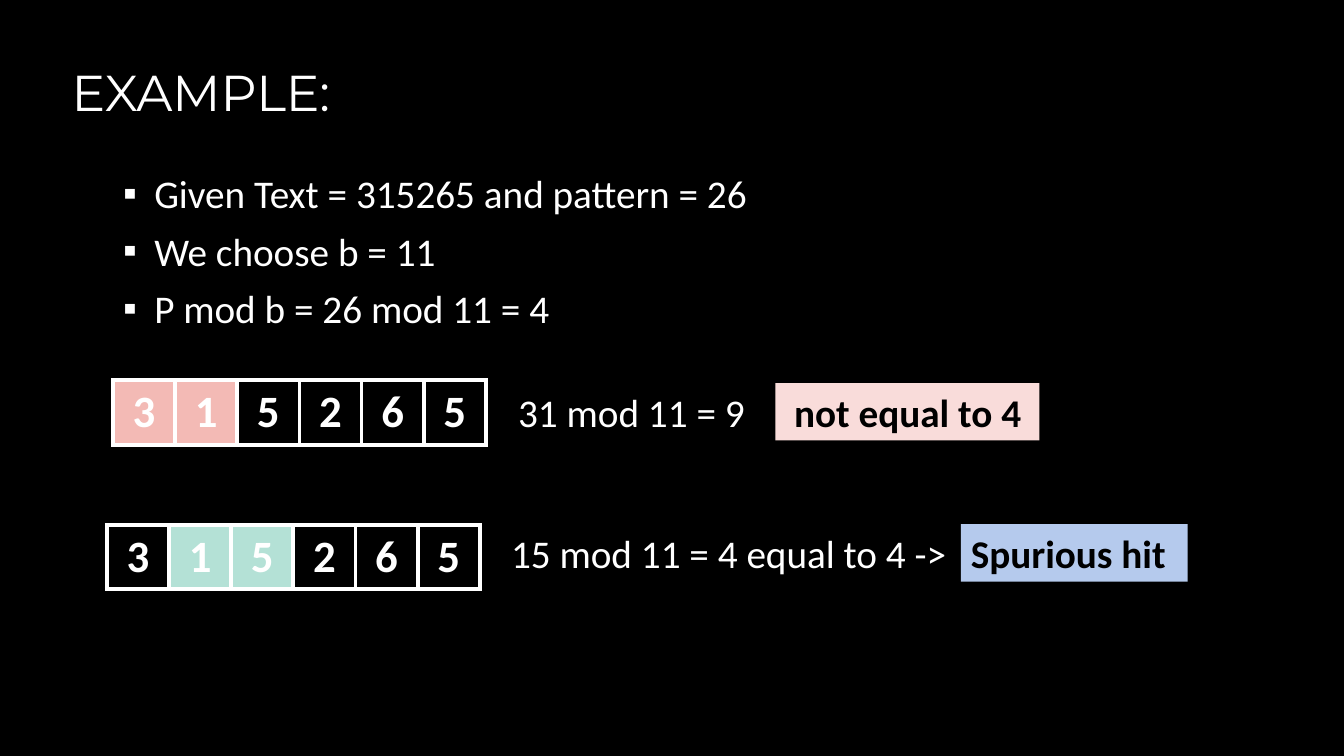
from lxml.etree import SubElement
from pptx import Presentation
from pptx.dml.color import RGBColor
from pptx.enum.shapes import MSO_SHAPE as Shape
from pptx.enum.text import MSO_ANCHOR as Anchor, MSO_AUTO_SIZE as AutoSize, PP_ALIGN as Align
from pptx.oxml.ns import qn
from pptx.util import Inches, Pt

WHITE, BLACK = "FFFFFF", "000000"
PINK, PALE_PINK = "F3BAB5", "F9DCDA"
MINT, PALE_BLUE = "B4E1D6", "B5CAED"
DIGITS = "315265"
CELL_WIDTH = 3.7 / len(DIGITS)
TABLE_HEIGHT, ROW_HEIGHT = 0.63, 0.41
LINE_HEIGHT = 0.57
FACTS = ["Given Text = 315265 and pattern = 26", "We choose b = 11", "P mod b = 26 mod 11 = 4"]


def color(value):
    return RGBColor.from_string(value)


def place(shape, left, top, width, height):
    shape.left, shape.top = Inches(left), Inches(top)
    shape.width, shape.height = Inches(width), Inches(height)


def add_text(paragraph, text, size=28, font="Calibri", ink=WHITE, bold=False):
    run = paragraph.add_run()
    run.text = text
    run.font.name, run.font.size, run.font.bold = font, Pt(size), bold
    run.font.color.rgb = color(ink)


def set_bullet(paragraph, symbol, indent):
    properties = paragraph._p.get_or_add_pPr()
    properties.set("marL", str(Inches(indent)))
    properties.set("indent", str(-Inches(indent)))
    SubElement(properties, qn("a:buFont"), typeface="Arial")
    SubElement(properties, qn("a:buChar"), char=symbol)


def set_cell_borders(cell, line_color, width):
    """Call before the cell is filled: borders come first in its properties."""
    properties = cell._tc.get_or_add_tcPr()
    for side in ("a:lnL", "a:lnR", "a:lnT", "a:lnB"):
        line = SubElement(properties, qn(side), w=str(Pt(width)))
        fill = SubElement(line, qn("a:solidFill"))
        SubElement(fill, qn("a:srgbClr"), val=line_color)


def add_title(slide, left, top, width, height):
    title = slide.shapes.title
    place(title, left, top, width, height)
    frame = title.text_frame
    frame.auto_size, frame.vertical_anchor = AutoSize.NONE, Anchor.TOP
    paragraph = frame.paragraphs[0]
    paragraph.alignment = Align.LEFT
    add_text(paragraph, "EXAMPLE:", size=36, font="Montserrat")


def add_facts(slide, left, top, width, height):
    body = slide.placeholders[1]
    place(body, left, top, width, height)
    frame = body.text_frame
    frame.auto_size = AutoSize.NONE
    for index, fact in enumerate(FACTS):
        paragraph = frame.add_paragraph() if index else frame.paragraphs[0]
        paragraph.line_spacing = 1.0
        paragraph.space_before, paragraph.space_after = Pt(0), Pt(7.5)
        set_bullet(paragraph, "▪", 0.31)
        add_text(paragraph, fact)


def add_digits(slide, left, top, digits, window=(), highlight=None):
    """Draw digits as a row of cells, filling those in the window."""
    frame = slide.shapes.add_table(1, len(digits), Inches(left), Inches(top),
                                   Inches(CELL_WIDTH * len(digits)), Inches(TABLE_HEIGHT))
    table = frame.table
    table.first_row = table.horz_banding = False
    table.rows[0].height = Inches(ROW_HEIGHT)
    for index, digit in enumerate(digits):
        table.columns[index].width = Inches(CELL_WIDTH)
        cell = table.cell(0, index)
        set_cell_borders(cell, WHITE, 3)
        if index in window:
            cell.fill.solid()
            cell.fill.fore_color.rgb = color(highlight)
        else:
            cell.fill.background()
        paragraph = cell.text_frame.paragraphs[0]
        paragraph.alignment = Align.CENTER
        add_text(paragraph, digit, size=32, bold=True)


def add_equation(slide, text, left, top, width):
    box = slide.shapes.add_textbox(Inches(left), Inches(top), Inches(width), Inches(LINE_HEIGHT))
    box.text_frame.word_wrap = True
    add_text(box.text_frame.paragraphs[0], text)


def add_verdict(slide, text, left, top, width, fill):
    label = slide.shapes.add_shape(Shape.RECTANGLE, Inches(left), Inches(top),
                                   Inches(width), Inches(LINE_HEIGHT))
    label.shadow.inherit = False
    label.fill.solid()
    label.fill.fore_color.rgb = color(fill)
    label.line.fill.background()
    label.text_frame.vertical_anchor = Anchor.TOP
    paragraph = label.text_frame.paragraphs[0]
    paragraph.alignment = Align.LEFT
    add_text(paragraph, text, ink=BLACK, bold=True)


def add_result(slide, left, top, equation, verdict):
    """Place an equation and, at its own offset, the verdict on it."""
    equation_text, equation_width = equation
    add_equation(slide, equation_text, left, top, equation_width)
    verdict_text, verdict_offset, verdict_width, fill = verdict
    add_verdict(slide, verdict_text, left + verdict_offset, top, verdict_width, fill)


def add_first_step(slide, left, top):
    add_digits(slide, left, top, DIGITS)
    add_digits(slide, left, top, DIGITS[:2], (0, 1), PINK)
    add_result(slide, left + 3.92, top + 0.03, ("31 mod 11 = 9", 2.54),
               (" not equal to 4", 2.65, 2.62, PALE_PINK))


def add_second_step(slide, left, top):
    add_digits(slide, left, top, DIGITS, (1, 2), MINT)
    add_result(slide, left + 3.91, top - 0.01, ("15 mod 11 = 4 equal to 4 ->", 4.55),
               ("Spurious hit", 4.56, 2.25, PALE_BLUE))


def main():
    presentation = Presentation()
    presentation.slide_width, presentation.slide_height = Inches(13.33), Inches(7.5)
    slide = presentation.slides.add_slide(presentation.slide_layouts[1])
    slide.background.fill.solid()
    slide.background.fill.fore_color.rgb = color(BLACK)
    add_title(slide, 0.61, 0.56, 4.21, 0.71)
    add_facts(slide, 1.12, 1.63, 8.86, 1.72)
    add_first_step(slide, 1.12, 3.77)
    add_second_step(slide, 1.06, 5.21)
    presentation.save("out.pptx")


if __name__ == "__main__":
    main()
